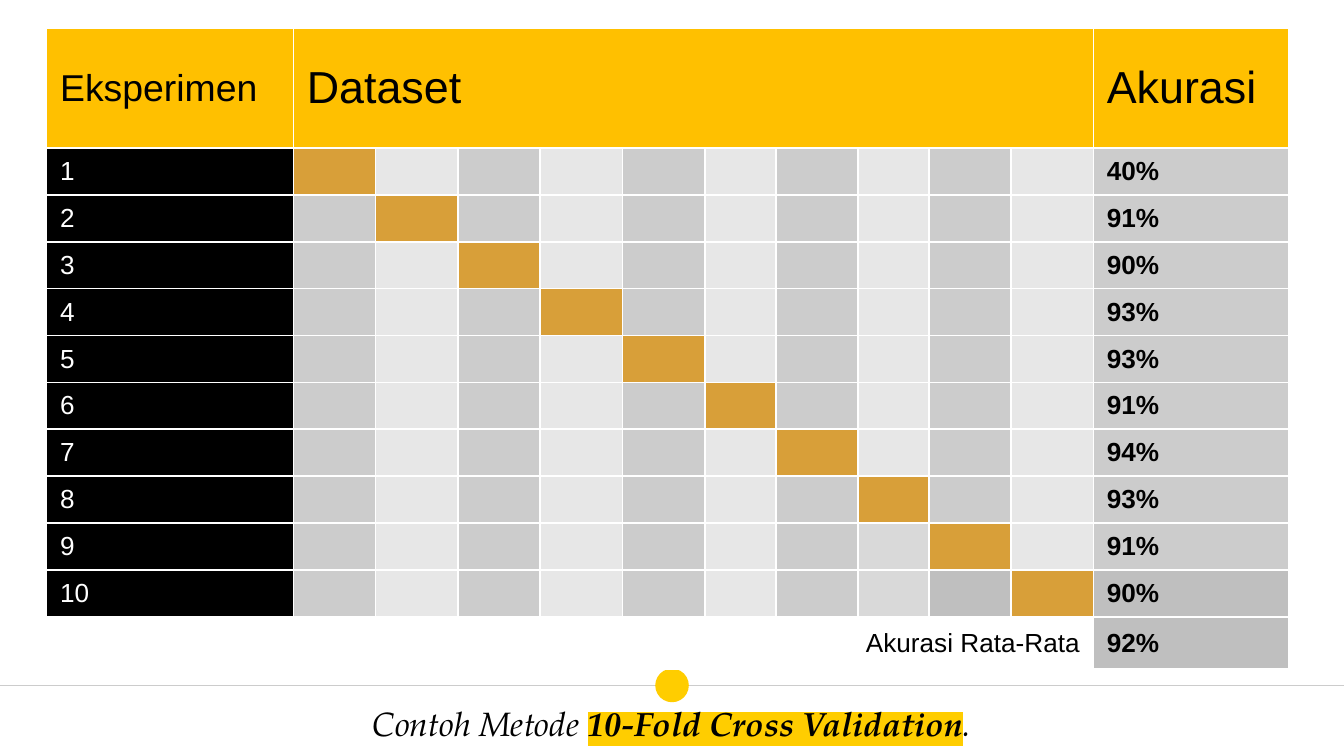
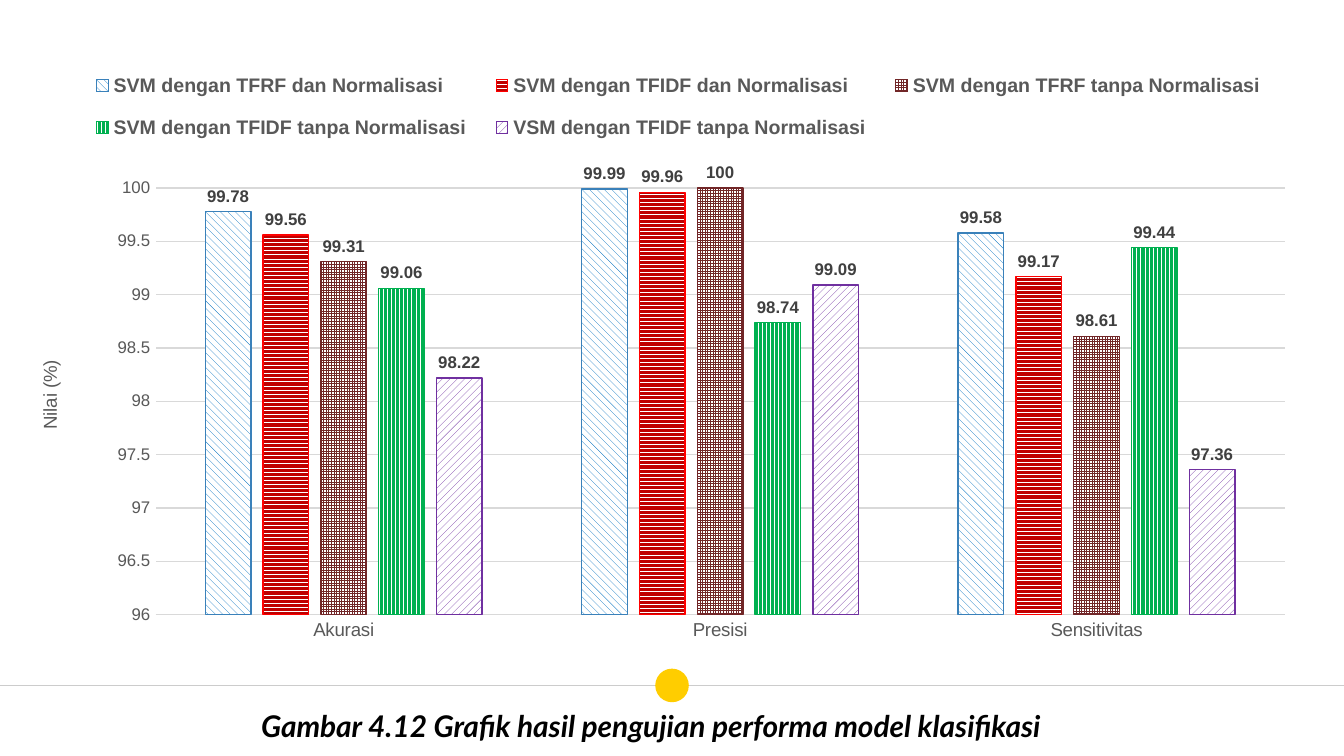
from lxml.etree import SubElement
from pptx import Presentation
from pptx.chart.data import CategoryChartData
from pptx.dml.color import RGBColor
from pptx.enum.chart import XL_CHART_TYPE, XL_LABEL_POSITION, XL_LEGEND_POSITION, XL_TICK_MARK
from pptx.enum.dml import MSO_PATTERN
from pptx.enum.shapes import MSO_CONNECTOR, MSO_SHAPE
from pptx.enum.text import MSO_ANCHOR, MSO_AUTO_SIZE, PP_ALIGN
from pptx.oxml import parse_xml
from pptx.oxml.ns import nsdecls, qn
from pptx.util import Pt

COLORS = {
    "black": "000000", "white": "FFFFFF", "yellow": "FFCD00", "header": "FFC000",
    "test_fold": "D89F39", "odd": "CCCCCC", "even": "E7E7E7", "pale": "D9D9D9",
    "dark": "BFBFBF", "rule": "CCCCCC", "grid": "D9D9D9", "axis": "595959",
    "label": "404040", "blue": "0070C0", "blue_line": "3A81BA", "red": "C00000",
    "red_line": "FF0000", "brown": "712627", "green": "00B050", "purple": "7030A0",
}
WIDTH, HEIGHT = 720, 405
RULE_Y, DOT = 367.2, 18
FOLDS = 10
NARROW_FOLDS = (6, 8)
ACCURACY = (40, 91, 90, 93, 93, 91, 94, 93, 91, 90)
# (row, column) of the cells that leave the striped pattern
SHADES = {(9, 8): "pale", (10, 8): "pale", (10, 9): "dark", (10, 11): "dark"}
SERIES = (
    ("SVM dengan TFRF dan Normalisasi", (99.78, 99.99, 99.58),
     MSO_PATTERN.WIDE_DOWNWARD_DIAGONAL, "blue", "blue_line"),
    ("SVM dengan TFIDF dan Normalisasi", (99.56, 99.96, 99.17),
     MSO_PATTERN.DARK_HORIZONTAL, "red", "red_line"),
    ("SVM dengan TFRF tanpa Normalisasi", (99.31, 100, 98.61),
     MSO_PATTERN.SMALL_GRID, "brown", "brown"),
    ("SVM dengan TFIDF tanpa Normalisasi", (99.06, 98.74, 99.44),
     MSO_PATTERN.DARK_VERTICAL, "green", "green"),
    ("VSM dengan TFIDF tanpa Normalisasi", (98.22, 99.09, 97.36),
     MSO_PATTERN.WIDE_UPWARD_DIAGONAL, "purple", "purple"),
)


def rgb(name):
    return RGBColor.from_string(COLORS[name])


def format_font(font, size, color="black", name="Arial", bold=False, italic=False):
    font.size, font.name = Pt(size), name
    font.bold, font.italic = bold, italic
    font.color.rgb = rgb(color)


def add_run(p, text, highlight=None, **fmt):
    r = p.add_run()
    r.text = text
    format_font(r.font, **fmt)
    if highlight:
        mark = parse_xml(f'<a:highlight {nsdecls("a")}><a:srgbClr val="{COLORS[highlight]}"/>'
                         '</a:highlight>')
        r.font._element.find(qn("a:solidFill")).addnext(mark)


def add_band(s):
    """Rule across the slide with a dot in its middle."""
    line = s.shapes.add_connector(MSO_CONNECTOR.STRAIGHT, 0, Pt(RULE_Y), Pt(WIDTH), Pt(RULE_Y))
    line.line.color.rgb, line.line.width = rgb("rule"), Pt(0.75)
    SubElement(line._element.spPr, qn("a:effectLst"))
    dot = s.shapes.add_shape(MSO_SHAPE.OVAL, Pt((WIDTH - DOT) / 2), Pt(RULE_Y - DOT / 2),
                             Pt(DOT), Pt(DOT))
    dot.shadow.inherit = False
    dot.fill.solid()
    dot.fill.fore_color.rgb = rgb("yellow")
    dot.line.fill.background()


def add_slide(prs, box, caption_runs):
    """Slide with the band and a caption, given as (text, format) pairs."""
    s = prs.slides.add_slide(prs.slide_layouts[5])
    add_band(s)
    title = s.shapes.title
    title.left, title.top, title.width, title.height = map(Pt, box)
    tf = title.text_frame
    tf.word_wrap, tf.auto_size = True, MSO_AUTO_SIZE.NONE
    tf.vertical_anchor = MSO_ANCHOR.BOTTOM
    tf.margin_left = tf.margin_right = tf.margin_top = tf.margin_bottom = Pt(7.2)
    p = tf.paragraphs[0]
    p.alignment = PP_ALIGN.CENTER
    for text, fmt in caption_runs:
        add_run(p, text, **fmt)
    return s


def style_cell(cell, fill):
    tc_pr = cell._tc.get_or_add_tcPr()
    for side in "LRTB":
        tc_pr.append(parse_xml(
            f'<a:ln{side} {nsdecls("a")} w="12700"><a:solidFill>'
            f'<a:srgbClr val="{COLORS["white"]}"/></a:solidFill></a:ln{side}>'))
    cell.fill.solid()
    cell.fill.fore_color.rgb = rgb(fill)
    cell.vertical_anchor = MSO_ANCHOR.MIDDLE
    # keeps empty cells from stretching their row
    cell.text_frame.paragraphs[0]._p.get_or_add_endParaRPr().set("sz", "1400")


def write_cell(cell, text, size=14, align=PP_ALIGN.LEFT, **fmt):
    p = cell.text_frame.paragraphs[0]
    p.alignment = align
    add_run(p, text, size=size, **fmt)


def cell_fill(row, col):
    last_row, last_col = FOLDS + 1, FOLDS + 1
    if row == 0:
        return "header"
    if row == last_row:
        return "dark" if col == last_col else "white"
    if col == 0:
        return "black"
    if row == col:
        return "test_fold"
    return SHADES.get((row, col), "odd" if col % 2 else "even")


def add_fold_table(s):
    widths = [132.2, *(38 if i in NARROW_FOLDS else 44.1 for i in range(1, FOLDS + 1)), 104.9]
    heights = [64.3, *[25.13] * FOLDS, 28.1]
    table = s.shapes.add_table(len(heights), len(widths), Pt(25), Pt(15),
                               Pt(sum(widths)), Pt(sum(heights))).table
    table.first_row = table.horz_banding = False
    for column, width in zip(table.columns, widths):
        column.width = Pt(width)
    for i, height in enumerate(heights):
        table.rows[i].height = Pt(height)
        for j in range(len(widths)):
            style_cell(table.cell(i, j), cell_fill(i, j))

    last = FOLDS + 1
    table.cell(0, 1).merge(table.cell(0, FOLDS))
    table.cell(last, 0).merge(table.cell(last, FOLDS))
    for col, text, size in ((0, "Eksperimen", 20), (1, "Dataset", 24), (last, "Akurasi", 24)):
        write_cell(table.cell(0, col), text, size)
    for row, value in enumerate(ACCURACY, 1):
        write_cell(table.cell(row, 0), str(row), color="white")
        write_cell(table.cell(row, last), f"{value}%", bold=True)
    write_cell(table.cell(last, 0), "Akurasi Rata-Rata", align=PP_ALIGN.RIGHT)
    write_cell(table.cell(last, last), "92%", bold=True)


def place(element, after=None, inner=False, **fractions):
    """Give a chart part a manual layout, in fractions of the chart."""
    for old in element.findall(qn("c:layout")):
        element.remove(old)
    modes = {"xMode": "edge", "yMode": "edge"}
    target = {"layoutTarget": "inner"} if inner else {}
    settings = {**target, **modes, **fractions}
    items = "".join(f'<c:{tag} val="{value}"/>' for tag, value in settings.items())
    layout = parse_xml(f'<c:layout {nsdecls("c")}><c:manualLayout>{items}'
                       '</c:manualLayout></c:layout>')
    if after:
        element.find(qn(after)).addnext(layout)
    else:
        element.insert(0, layout)


def style_axes(chart):
    cat, val = chart.category_axis, chart.value_axis
    for axis, size in ((cat, 10), (val, 9)):
        axis.major_tick_mark = axis.minor_tick_mark = XL_TICK_MARK.NONE
        format_font(axis.tick_labels.font, size, "axis")
    val.minimum_scale, val.maximum_scale, val.major_unit = 96, 100, 0.5
    val.tick_labels.number_format = "General"
    val.tick_labels.number_format_is_linked = False
    val.has_major_gridlines = True
    for line in (cat.format.line, val.major_gridlines.format.line):
        line.color.rgb, line.width = rgb("grid"), Pt(0.75)
    val.format.line.fill.background()
    add_run(val.axis_title.text_frame.paragraphs[0], "Nilai (%)", size=10, color="axis")
    place(val.axis_title._element, after="c:tx", x=0.01, y=0.51)


def style_series(series, pattern, color, line_color):
    fill, line = series.format.fill, series.format.line
    fill.patterned()
    fill.pattern = pattern
    fill.fore_color.rgb, fill.back_color.rgb = rgb(color), rgb("white")
    line.color.rgb, line.width = rgb(line_color), Pt(0.75)
    series.invert_if_negative = False
    labels = series.data_labels
    labels.show_value = True
    labels.position = XL_LABEL_POSITION.OUTSIDE_END
    labels.number_format, labels.number_format_is_linked = "General", False
    format_font(labels.font, 9, "label", bold=True)


def add_performance_chart(s):
    data = CategoryChartData()
    data.categories = ["Akurasi", "Presisi", "Sensitivitas"]
    for name, values, *_ in SERIES:
        data.add_series(name, values)
    chart = s.shapes.add_chart(XL_CHART_TYPE.COLUMN_CLUSTERED, Pt(11.5), Pt(15.8),
                               Pt(697), Pt(344.2), data).chart
    format_font(chart.font, 10)
    chart.has_title = False
    chart.has_legend = True
    legend = chart.legend
    legend.position, legend.include_in_layout = XL_LEGEND_POSITION.TOP, False
    format_font(legend.font, 10.5, "axis", bold=True)
    place(legend._element, after="c:legendPos", x=0.04, y=0.04, w=0.93, h=0.16)
    plot = chart.plots[0]
    plot.gap_width, plot.overlap, plot.vary_by_categories = 219, -27, False
    place(chart._chartSpace.chart.plotArea, inner=True, x=0.103, y=0.247, w=0.868, h=0.664)
    style_axes(chart)
    for series, (_, _, *look) in zip(plot.series, SERIES):
        style_series(series, *look)


def main():
    prs = Presentation()
    prs.slide_width, prs.slide_height = Pt(WIDTH), Pt(HEIGHT)

    serif = {"size": 18, "name": "TeX Gyre Pagella", "italic": True}
    s = add_slide(prs, (0, 370, 720, 35.3), [
        ("Contoh Metode ", serif),
        ("10-Fold Cross Validation", {**serif, "bold": True, "highlight": "yellow"}),
        (".", serif),
    ])
    add_fold_table(s)

    s = add_slide(prs, (11.5, 379.4, 674.6, 25.9), [
        ("Gambar 4.12 Grafik hasil pengujian performa model klasifikasi",
         {"size": 16, "name": "Lato", "bold": True, "italic": True}),
    ])
    add_performance_chart(s)
    prs.save("out.pptx")


if __name__ == "__main__":
    main()
